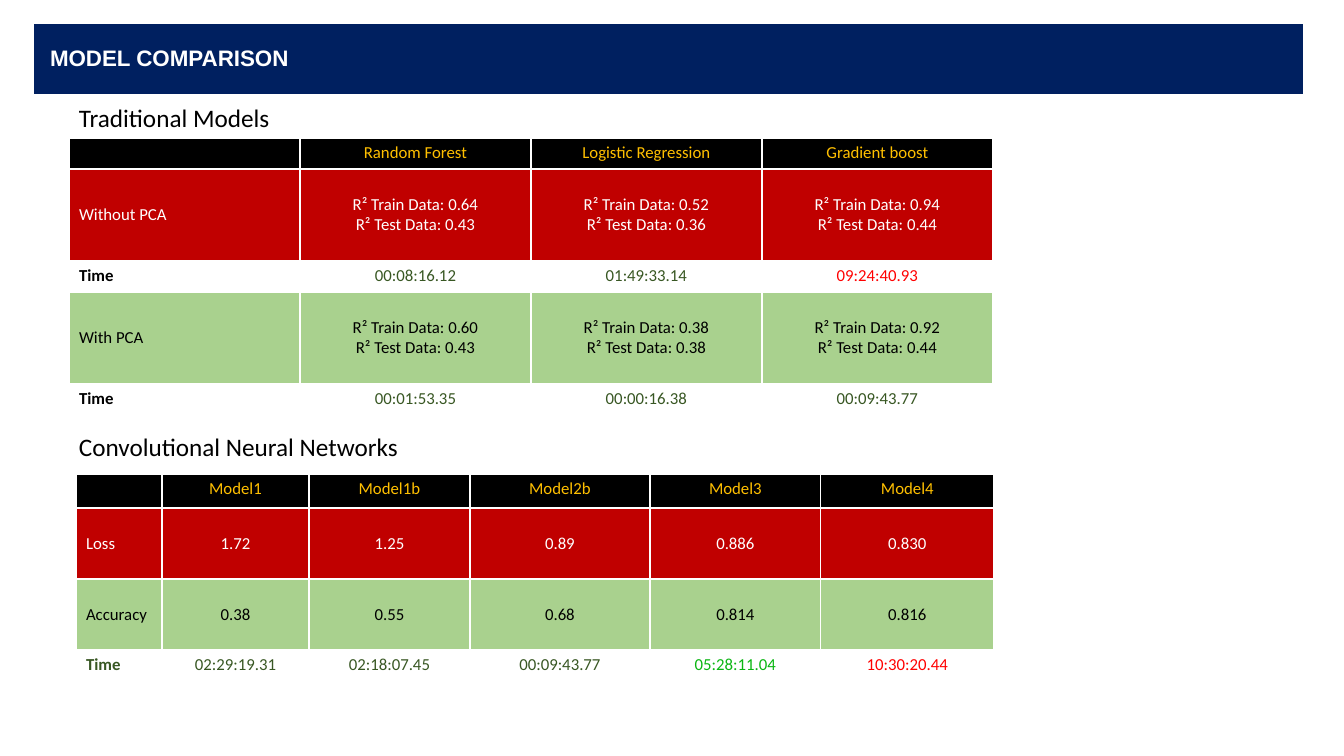
from pptx import Presentation
from pptx.dml.color import RGBColor
from pptx.enum.text import MSO_ANCHOR, PP_ALIGN
from pptx.util import Pt

TITLE = "MODEL COMPARISON"
HEADS = [
    ("Traditional Models", (69, 97, 213, 40)),
    ("Convolutional Neural Networks", (69, 426, 343, 40)),
]
TABLES = [
    {
        "at": (69, 138), "cols": [231] * 4, "rows": [31, 92, 31, 92, 48],
        "kinds": ["head", "red", "time", "green", "time"],
        "cells": [
            ["", "Random Forest", "Logistic Regression", "Gradient boost"],
            ["Without PCA", "R² Train Data: 0.64\nR² Test Data: 0.43",
             "R² Train Data: 0.52\nR² Test Data: 0.36",
             "R² Train Data: 0.94\nR² Test Data: 0.44"],
            ["Time", "00:08:16.12", "01:49:33.14", "09:24:40.93"],
            ["With PCA", "R² Train Data: 0.60\nR² Test Data: 0.43",
             "R² Train Data: 0.38\nR² Test Data: 0.38",
             "R² Train Data: 0.92\nR² Test Data: 0.44"],
            ["Time", "00:01:53.35", "00:00:16.38", "00:09:43.77"],
        ],
        "marks": {(2, 0): "000000", (2, 3): "FF0000", (4, 0): "000000"},
    },
    {
        "at": (76, 474), "cols": [86, 147, 161, 180, 171, 173],
        "rows": [34, 71, 71, 47],
        "kinds": ["head", "red", "green", "time"],
        "cells": [
            ["", "Model1", "Model1b", "Model2b", "Model3", "Model4"],
            ["Loss", "1.72", "1.25", "0.89", "0.886", "0.830"],
            ["Accuracy", "0.38", "0.55", "0.68", "0.814", "0.816"],
            ["Time", "02:29:19.31", "02:18:07.45", "00:09:43.77",
             "05:28:11.04", "10:30:20.44"],
        ],
        "marks": {(3, 4): "0AB612", (3, 5): "FF0000"},
    },
]
KINDS = {
    "head": ("000000", "FFC000", MSO_ANCHOR.TOP),
    "red": ("C00000", "FFFFFF", MSO_ANCHOR.MIDDLE),
    "time": ("FFFFFF", "385723", MSO_ANCHOR.TOP),
    "green": ("A9D18E", "000000", MSO_ANCHOR.MIDDLE),
}
WIDE, HIGH = 1344, 756
SCALE = 12192000 / WIDE


def px(n):
    return round(n * SCALE)


def tint(part, code):
    part.rgb = RGBColor.from_string(code)


def paint(shape, code):
    shape.fill.solid()
    tint(shape.fill.fore_color, code)


def put(item, form):
    for name, value in form.items():
        setattr(item, name, value)


def write(frame, text, code, form, align=PP_ALIGN.LEFT):
    frame.text = text
    for para in frame.paragraphs:
        para.alignment = align
        for run in para.runs:
            put(run.font, form)
            tint(run.font.color, code)
        if not para.runs:
            para._p.get_or_add_endParaRPr().set("sz", str(form["size"].centipoints))


def add_grid(slide, data):
    cols, rows = data["cols"], data["rows"]
    box = [px(n) for n in (*data["at"], sum(cols), sum(rows))]
    grid = slide.shapes.add_table(len(rows), len(cols), *box).table
    grid.horz_banding = False
    for col, wide in zip(grid.columns, cols):
        col.width = px(wide)
    for r, (row, high) in enumerate(zip(grid.rows, rows)):
        row.height = px(high)
        kind = data["kinds"][r]
        fill, ink, anchor = KINDS[kind]
        for c, text in enumerate(data["cells"][r]):
            cell = grid.cell(r, c)
            paint(cell, fill)
            cell.vertical_anchor = anchor
            form = {"name": "Calibri", "size": Pt(12), "bold": kind == "time" and c == 0}
            align = PP_ALIGN.CENTER if c else PP_ALIGN.LEFT
            write(cell.text_frame, text, data["marks"].get((r, c), ink), form, align)


def main():
    deck = Presentation()
    put(deck, {"slide_width": px(WIDE), "slide_height": px(HIGH)})
    slide = deck.slides.add_slide(deck.slide_layouts[5])
    bar = slide.shapes.title
    put(bar, {"left": px(34), "top": px(24), "width": px(1269), "height": px(70)})
    paint(bar, "002060")
    write(bar.text_frame, TITLE, "FFFFFF", {"name": "Arial", "size": Pt(16), "bold": True})
    put(bar.text_frame, {"vertical_anchor": MSO_ANCHOR.MIDDLE, "margin_left": px(16)})
    bar.text_frame.paragraphs[0].line_spacing = 0.9
    for data in TABLES:
        add_grid(slide, data)
    for text, box in HEADS:
        frame = slide.shapes.add_textbox(*[px(n) for n in box]).text_frame
        frame.word_wrap = False
        write(frame, text, "000000", {"name": "Calibri", "size": Pt(18)})
    deck.save("out.pptx")


if __name__ == "__main__":
    main()
